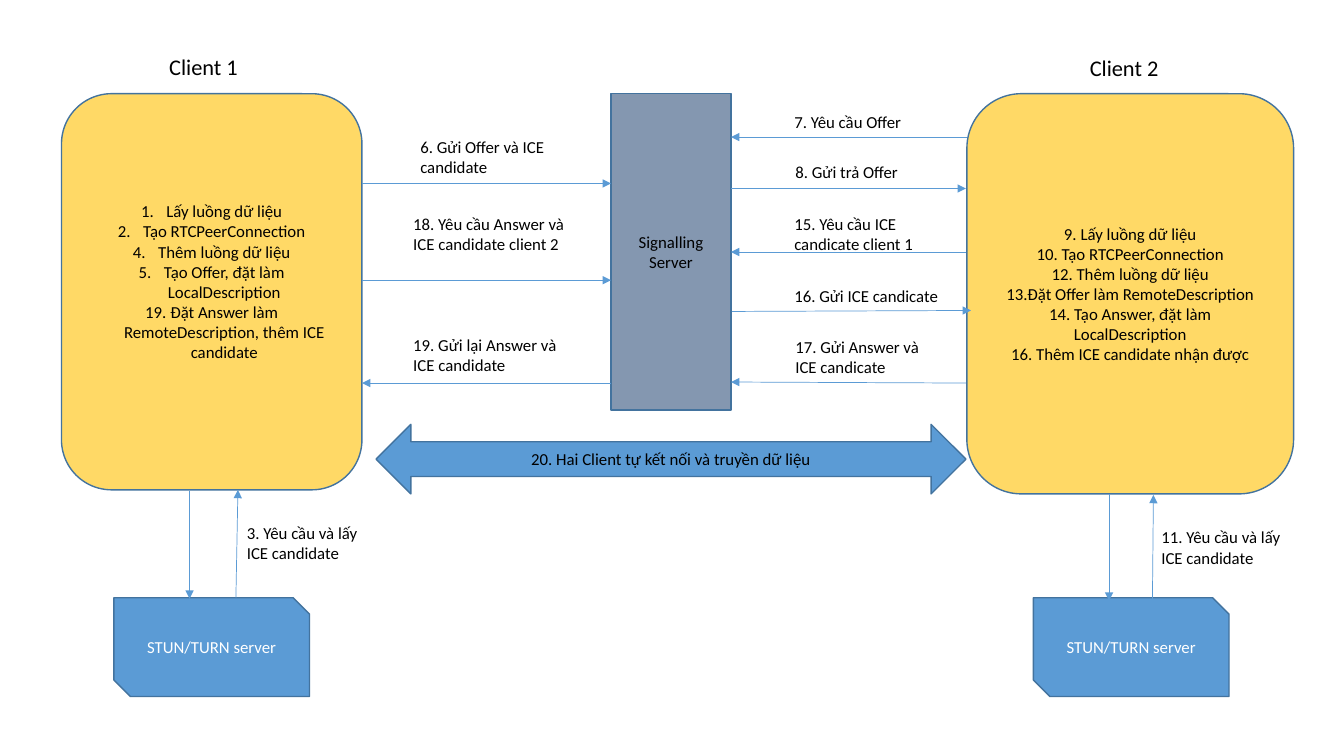
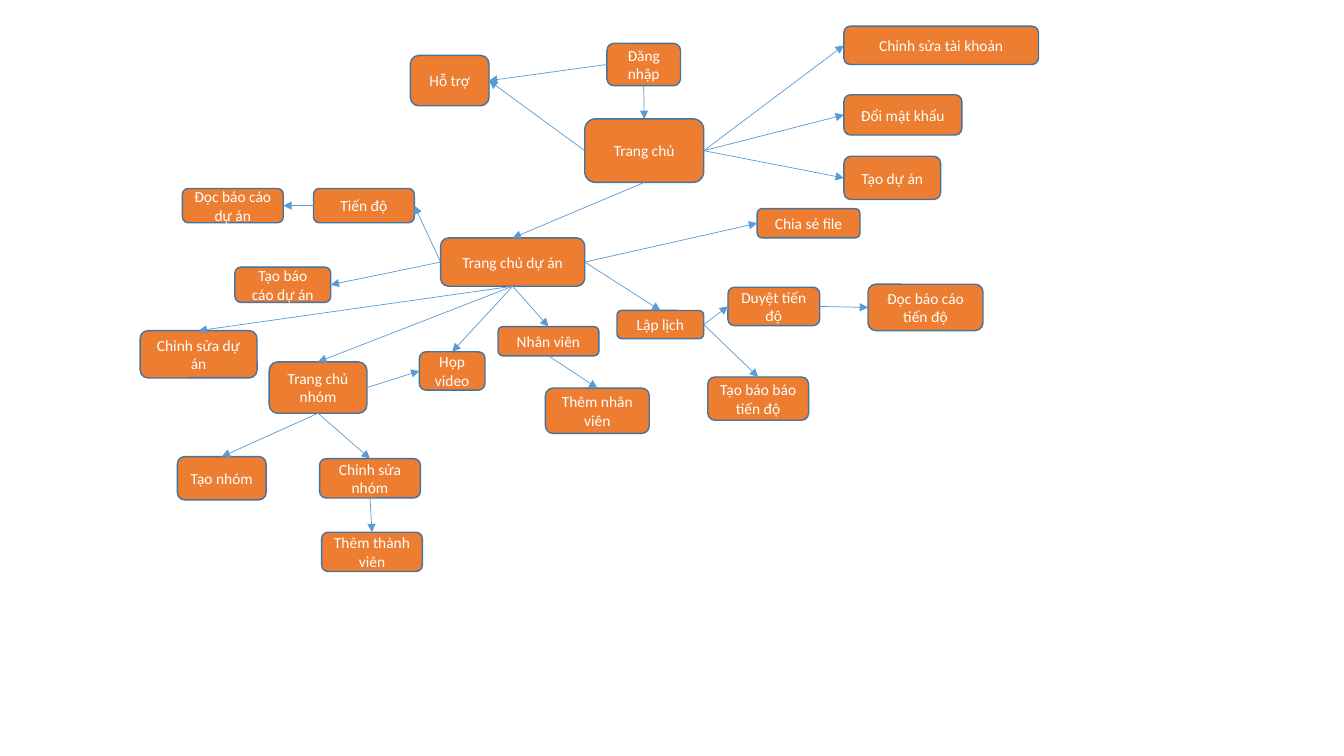
from lxml import etree
from pptx import Presentation
from pptx.dml.color import RGBColor
from pptx.enum.shapes import MSO_CONNECTOR, MSO_SHAPE as Preset
from pptx.enum.text import MSO_ANCHOR, PP_ALIGN
from pptx.oxml.ns import qn
from pptx.util import Pt

PX = 9144  # 100 px to the inch
FONT = "Calibri"
BLACK = RGBColor(0x00, 0x00, 0x00)
WHITE = RGBColor(0xFF, 0xFF, 0xFF)
BLUE = RGBColor(0x5B, 0x9B, 0xD5)
OUTLINE = RGBColor(0x43, 0x73, 0x9E)
YELLOW = RGBColor(0xFF, 0xD9, 0x66)
SLATE = RGBColor(0x84, 0x97, 0xB0)
ORANGE = RGBColor(0xED, 0x7D, 0x31)
TOP, LEFT, BOTTOM, RIGHT = range(4)  # connection sites of a rounded rectangle


def add_box(slide, preset, bounds, fill, text, size, color):
    """Add an outlined shape with centred text, one paragraph per line."""
    shape = slide.shapes.add_shape(preset, *(value * PX for value in bounds))
    shape.shadow.inherit = False
    shape.fill.solid()
    shape.fill.fore_color.rgb = fill
    shape.line.color.rgb = OUTLINE
    shape.line.width = Pt(1)
    frame = shape.text_frame
    frame.word_wrap = True
    frame.vertical_anchor = MSO_ANCHOR.MIDDLE
    frame.text = text
    for paragraph in frame.paragraphs:
        paragraph.alignment = PP_ALIGN.CENTER
        paragraph.font.name = FONT
        paragraph.font.size = Pt(size)
        paragraph.font.color.rgb = color
    return shape


def add_arrow(slide, x1, y1, x2, y2):
    arrow = slide.shapes.add_connector(
        MSO_CONNECTOR.STRAIGHT, x1 * PX, y1 * PX, x2 * PX, y2 * PX)
    arrow.line.color.rgb = BLUE
    arrow.line.width = Pt(0.5)
    properties = arrow.element.spPr
    etree.SubElement(properties.find(qn("a:ln")), qn("a:tailEnd"), type="triangle")
    etree.SubElement(properties, qn("a:effectLst"))
    return arrow


presentation = Presentation()
presentation.slide_width = 1333 * PX
presentation.slide_height = 750 * PX
blank_layout = presentation.slide_layouts[6]

# Slide 1: signalling sequence between two clients
slide = presentation.slides.add_slide(blank_layout)
add_box(slide, Preset.RECTANGLE, (606, 93, 119, 314), SLATE, "Signalling Server", 12, BLACK)

first_client_steps = [
    (1, "Lấy luồng dữ liệu"),
    (1, "Tạo RTCPeerConnection"),
    (4, "Thêm luồng dữ liệu"),
    (4, "Tạo Offer, đặt làm LocalDescription"),
    (19, "Đặt Answer làm RemoteDescription, thêm ICE candidate"),
]
first_client = add_box(slide, Preset.ROUNDED_RECTANGLE, (61, 93, 298, 393), YELLOW,
                       "\n".join(text for _, text in first_client_steps), 12, BLACK)
first_client.text_frame.margin_bottom = 25 * PX
for paragraph, (start, _) in zip(first_client.text_frame.paragraphs, first_client_steps):
    properties = paragraph._p.get_or_add_pPr()
    properties.set("marL", str(25 * PX))
    properties.set("indent", str(-25 * PX))
    numbering = etree.Element(qn("a:buAutoNum"), type="arabicPeriod")
    if start > 1:
        numbering.set("startAt", str(start))
    properties.insert(0, numbering)

second_client_steps = [
    "9. Lấy luồng dữ liệu",
    "10. Tạo RTCPeerConnection",
    "12. Thêm luồng dữ liệu",
    "13.Đặt Offer làm RemoteDescription",
    "14. Tạo Answer, đặt làm LocalDescription",
    "16. Thêm ICE candidate nhận được",
]
add_box(slide, Preset.ROUNDED_RECTANGLE, (959, 93, 324, 397), YELLOW,
        "\n".join(second_client_steps), 12, BLACK)
for left in (113, 1025):
    add_box(slide, Preset.SNIP_2_DIAG_RECTANGLE, (left, 593, 194, 98), BLUE,
            "STUN/TURN server", 12, WHITE)
add_box(slide, Preset.LEFT_RIGHT_ARROW, (373, 421, 585, 69), BLUE,
        "20. Hai Client tự kết nối và truyền dữ liệu", 12, BLACK)

labels = [
    ("Client 1", 16, (158, 48, 104, 37)),
    ("Client 2", 16, (1071, 49, 102, 37)),
    ("3. Yêu cầu và lấy ICE candidate", 12, (235, 514, 154, 50)),
    ("6. Gửi Offer và ICE candidate", 12, (407, 131, 158, 50)),
    ("7. Yêu cầu Offer", 12, (778, 106, 143, 30)),
    ("8. Gửi trả Offer", 12, (779, 156, 133, 30)),
    ("11. Yêu cầu và lấy ICE candidate", 12, (1142, 518, 153, 50)),
    ("15. Yêu cầu ICE candicate client 1", 12, (778, 207, 164, 50)),
    ("16. Gửi ICE candicate", 12, (778, 279, 186, 30)),
    ("17. Gửi Answer và ICE candicate", 12, (779, 329, 164, 50)),
    ("18. Yêu cầu Answer và ICE candidate client 2", 12, (400, 207, 172, 71)),
    ("19. Gửi lại Answer và ICE candidate", 12, (400, 327, 172, 50)),
]
for text, size, bounds in labels:
    label = slide.shapes.add_textbox(*(value * PX for value in bounds))
    label.text_frame.word_wrap = True
    label.text_frame.text = text
    paragraph = label.text_frame.paragraphs[0]
    paragraph.font.name = FONT
    paragraph.font.size = Pt(size)
    paragraph.font.color.rgb = BLACK

messages = [
    (188, 487, 188, 594),
    (234, 593, 236, 486),
    (1100, 490, 1100, 596),
    (1143, 595, 1144, 491),
    (359, 182, 606, 182),
    (359, 278, 606, 278),
    (606, 380, 359, 380),
    (959, 136, 725, 136),
    (725, 187, 958, 187),
    (958, 250, 725, 250),
    (726, 309, 963, 308),
    (958, 380, 725, 379),
]
for ends in messages:
    add_arrow(slide, *ends)

# Slide 2: site map
slide = presentation.slides.add_slide(blank_layout)
pages = {
    "Đăng nhập": (602, 43, 73, 42),
    "Chỉnh sửa tài khoản": (837, 26, 193, 38),
    "Đổi mật khẩu": (837, 94, 117, 40),
    "Hỗ trợ": (407, 55, 78, 50),
    "Tạo dự án": (837, 155, 96, 43),
    "Trang chủ": (580, 118, 118, 63),
    "Trang chủ dự án": (437, 236, 143, 48),
    "Chỉnh sửa dự án": (139, 328, 116, 47),
    "Lập lịch": (612, 308, 86, 28),
    "Thêm nhân viên": (541, 385, 103, 45),
    "Tạo nhóm": (176, 453, 88, 43),
    "Trang chủ nhóm": (267, 359, 97, 51),
    "Nhân viên": (494, 324, 100, 29),
    "Chỉnh sửa nhóm": (317, 455, 100, 39),
    "Tiến độ": (311, 187, 100, 34),
    "Đọc báo cáo dự án": (181, 187, 100, 34),
    "Tạo báo báo tiến độ": (702, 374, 100, 43),
    "Duyệt tiến độ": (722, 285, 91, 38),
    "Tạo báo cáo dự án": (233, 265, 95, 35),
    "Chia sẻ file": (751, 207, 102, 29),
    "Đọc báo cáo tiến độ": (861, 282, 114, 46),
    "Họp video": (416, 349, 65, 38),
    "Thêm thành viên": (319, 528, 100, 39),
}
page_shapes = {
    name: add_box(slide, Preset.ROUNDED_RECTANGLE, bounds, ORANGE, name, 11, WHITE)
    for name, bounds in pages.items()
}

links = [
    ("Đăng nhập", BOTTOM, "Trang chủ", TOP),
    ("Trang chủ", LEFT, "Hỗ trợ", RIGHT),
    ("Đăng nhập", LEFT, "Hỗ trợ", RIGHT),
    ("Trang chủ", RIGHT, "Chỉnh sửa tài khoản", LEFT),
    ("Trang chủ", RIGHT, "Đổi mật khẩu", LEFT),
    ("Trang chủ", RIGHT, "Tạo dự án", LEFT),
    ("Trang chủ", BOTTOM, "Trang chủ dự án", TOP),
    ("Trang chủ dự án", BOTTOM, "Trang chủ nhóm", TOP),
    ("Trang chủ dự án", BOTTOM, "Chỉnh sửa dự án", TOP),
    ("Trang chủ dự án", BOTTOM, "Nhân viên", TOP),
    ("Trang chủ dự án", BOTTOM, "Họp video", TOP),
    ("Trang chủ dự án", RIGHT, "Lập lịch", TOP),
    ("Trang chủ dự án", RIGHT, "Chia sẻ file", LEFT),
    ("Trang chủ dự án", LEFT, "Tiến độ", RIGHT),
    ("Trang chủ dự án", LEFT, "Tạo báo cáo dự án", RIGHT),
    ("Trang chủ nhóm", BOTTOM, "Tạo nhóm", TOP),
    ("Trang chủ nhóm", BOTTOM, "Chỉnh sửa nhóm", TOP),
    ("Trang chủ nhóm", RIGHT, "Họp video", LEFT),
    ("Chỉnh sửa nhóm", BOTTOM, "Thêm thành viên", TOP),
    ("Nhân viên", BOTTOM, "Thêm nhân viên", TOP),
    ("Tiến độ", LEFT, "Đọc báo cáo dự án", RIGHT),
    ("Lập lịch", RIGHT, "Duyệt tiến độ", LEFT),
    ("Lập lịch", RIGHT, "Tạo báo báo tiến độ", TOP),
    ("Duyệt tiến độ", RIGHT, "Đọc báo cáo tiến độ", LEFT),
]
for source, source_side, target, target_side in links:
    arrow = add_arrow(slide, 0, 0, 0, 0)
    arrow.begin_connect(page_shapes[source], source_side)
    arrow.end_connect(page_shapes[target], target_side)

presentation.save("out.pptx")
